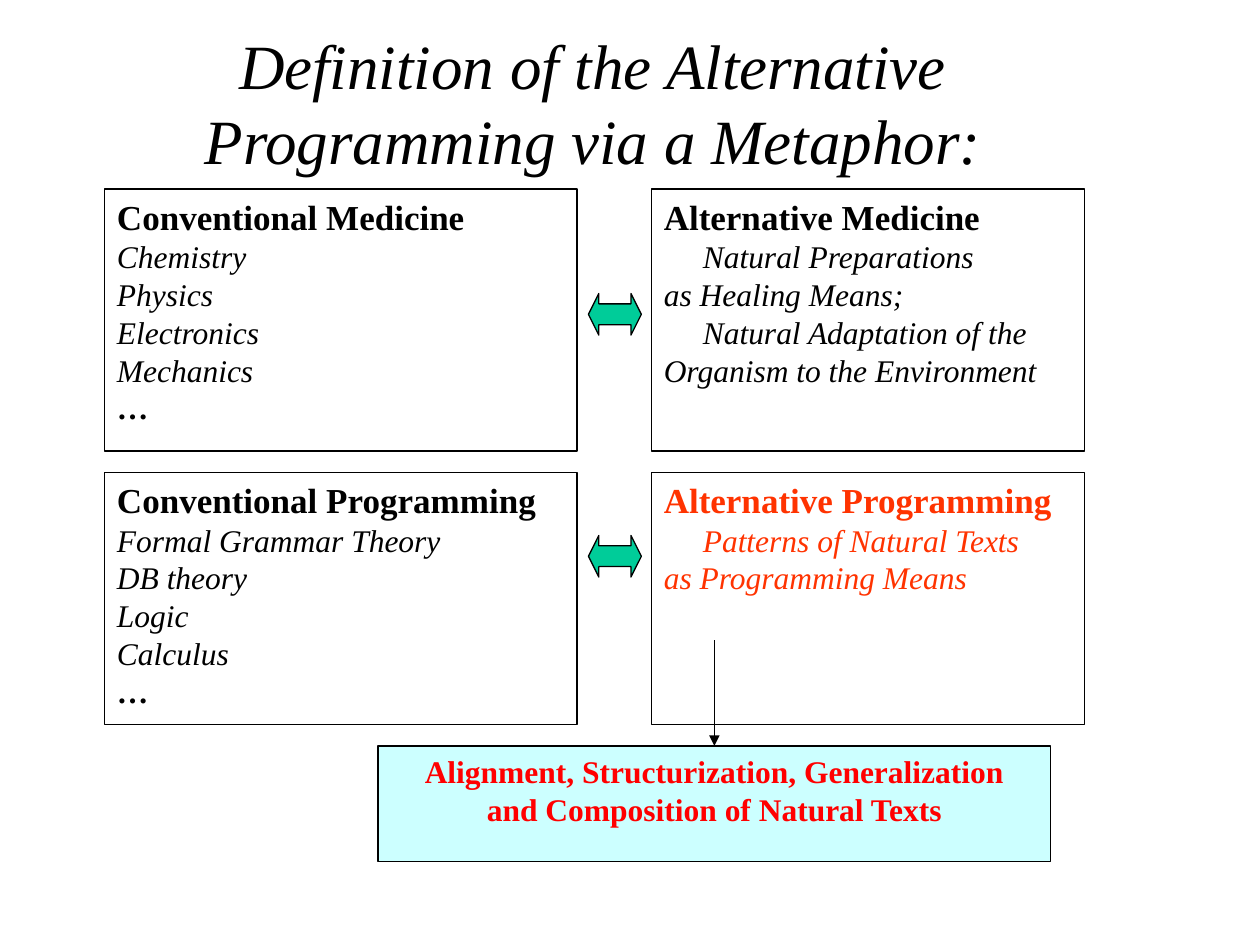
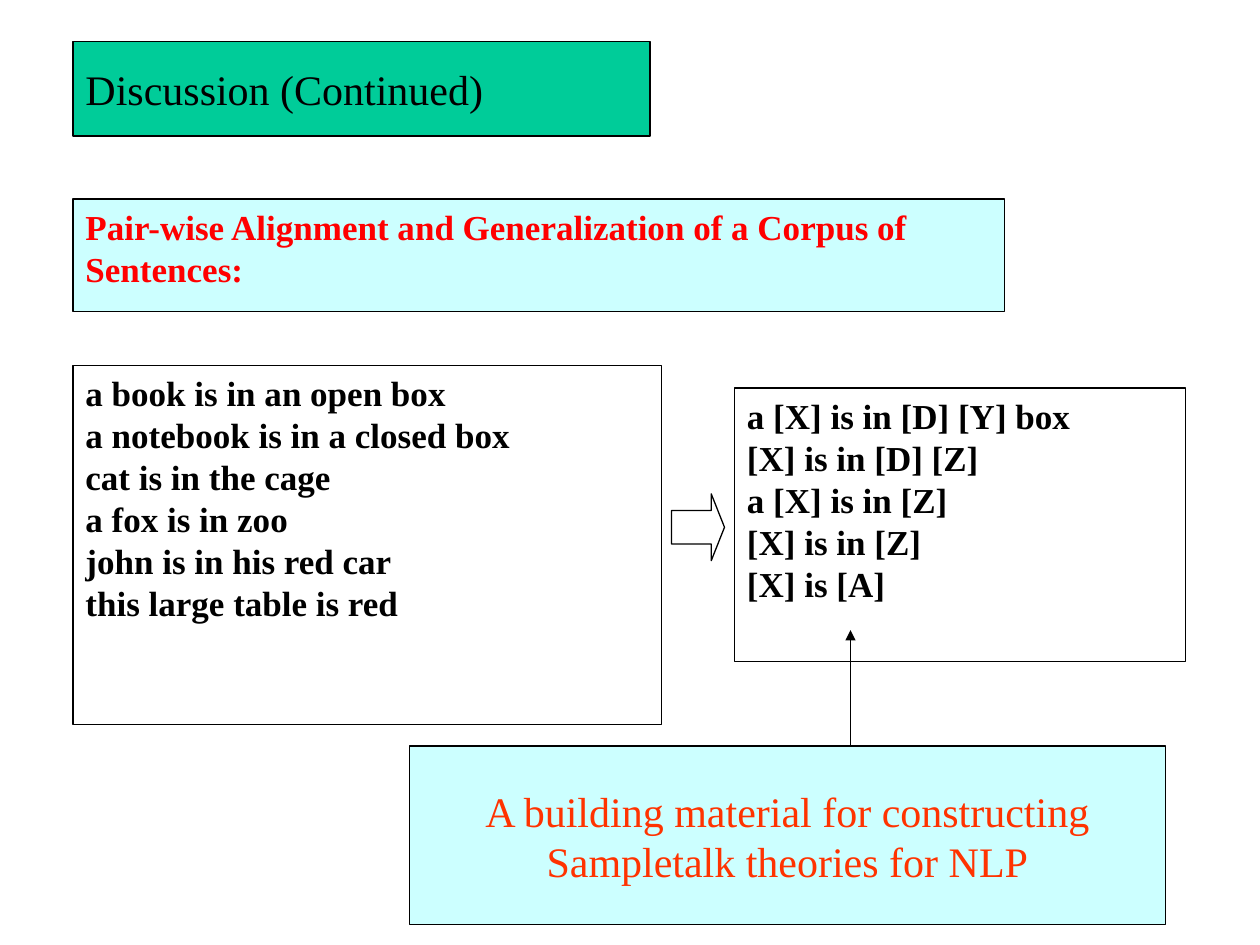
"""Build two slides on alternative programming and the alignment of sentences."""
from lxml.etree import SubElement
from pptx import Presentation
from pptx.dml.color import RGBColor
from pptx.enum.shapes import MSO_CONNECTOR as CONN, MSO_SHAPE as SHAPE
from pptx.enum.text import MSO_ANCHOR as ANCHOR, PP_ALIGN as ALIGN
from pptx.oxml.ns import qn
from pptx.util import Inches, Pt

COLORS = {
    "ink": "000000", "paper": "FFFFFF", "green": "00CC99",
    "pale": "CCFFFF", "red": "FF0000", "orange": "FF3300",
}
FORMATS = {
    "title": {"size": Pt(36), "italic": True},
    "banner": {"size": Pt(24)},
    "head": {"size": Pt(20), "bold": True},
    "item": {"size": Pt(18), "italic": True},
    "strong": {"size": Pt(18), "bold": True},
}
FONT = "Times New Roman"
LINE_WIDTH = Pt(0.75)
INDENT = Inches(0.31)


def rgb(name):
    return RGBColor.from_string(COLORS[name])


class Deck:
    def __init__(self):
        self.prs = Presentation()
        self.prs.slide_width, self.prs.slide_height = Inches(10), Inches(7.5)
        self.s = None

    def slide(self):
        self.s = self.prs.slides.add_slide(self.prs.slide_layouts[6])

    def text(self, sp, lines, color="ink", align=ALIGN.LEFT, anchor=ANCHOR.TOP):
        tf = sp.text_frame
        tf.word_wrap = True
        tf.vertical_anchor = anchor
        for i, (text, style, *indent) in enumerate(lines):
            p = tf.add_paragraph() if i else tf.paragraphs[0]
            p.alignment = align
            if indent:
                p._p.get_or_add_pPr().set("indent", str(indent[0]))
            r = p.add_run()
            r.text = text
            for key, value in {"name": FONT, **FORMATS[style]}.items():
                setattr(r.font, key, value)
            r.font.color.rgb = rgb(color)

    def title(self, at, text):
        sp = self.s.shapes.add_textbox(*map(Inches, at))
        sp.text_frame.margin_bottom = Inches(0.6)
        self.text(sp, [(text, "title")], align=ALIGN.CENTER, anchor=ANCHOR.MIDDLE)

    def shape(self, kind, at, fill):
        sp = self.s.shapes.add_shape(kind, *map(Inches, at))
        sp.shadow.inherit = False
        sp.fill.solid()
        sp.fill.fore_color.rgb = rgb(fill)
        sp.line.color.rgb = rgb("ink")
        sp.line.width = LINE_WIDTH
        return sp

    def box(self, at, lines, fill="paper", **text_format):
        sp = self.shape(SHAPE.RECTANGLE, at, fill)
        self.text(sp, lines, **text_format)
        return sp

    def block_arrow(self, kind, at, fill, head):
        sp = self.shape(kind, at, fill)
        sp.adjustments[0], sp.adjustments[1] = 0.5, head

    def arrow(self, start, end, target=None):
        cx = self.s.shapes.add_connector(CONN.STRAIGHT, *map(Inches, start + end))
        if target is not None:
            cx.end_connect(target, 0)
        cx.line.color.rgb = rgb("ink")
        cx.line.width = LINE_WIDTH
        SubElement(cx.line._get_or_add_ln(), qn("a:tailEnd"), type="triangle")
        SubElement(cx._element.spPr, qn("a:effectLst"))


def topic(head, *items):
    return [(head, "head")] + [(item, "item") for item in items]


def metaphor_slide(deck):
    deck.slide()
    deck.title((0.58, 0.25, 8.25, 1.67),
               "Definition of the Alternative Programming via a Metaphor:")
    dots = [("…", "strong")]
    medicine = topic("Conventional Medicine",
                     "Chemistry", "Physics", "Electronics", "Mechanics") + dots
    programming = topic("Conventional Programming", "Formal Grammar Theory",
                        "DB theory", "Logic", "Calculus") + dots
    alt_medicine = [
        ("Alternative Medicine", "head"),
        ("Natural Preparations", "item", INDENT),
        ("as Healing Means;", "item"),
        ("Natural Adaptation of the Organism to the Environment", "item", INDENT),
    ]
    alt_programming = [
        ("Alternative Programming", "head"),
        ("Patterns of Natural Texts", "item", INDENT),
        ("as Programming Means", "item"),
    ]
    rows = [
        (1.5, 2.08, 2.33, medicine, alt_medicine, "ink"),
        (3.75, 2, 4.25, programming, alt_programming, "orange"),
    ]
    for top, height, arrow_top, conventional, alternative, color in rows:
        deck.box((0.83, top, 3.75, height), conventional)
        deck.box((5.17, top, 3.44, height), alternative, color=color)
        deck.block_arrow(SHAPE.LEFT_RIGHT_ARROW, (4.67, arrow_top, 0.42, 0.33),
                         "green", 0.25)
    methods = deck.box(
        (3, 5.92, 5.34, 0.92),
        [("Alignment, Structurization, Generalization", "strong"),
         ("and Composition of Natural Texts", "strong")],
        "pale", color="red", align=ALIGN.CENTER)
    deck.arrow((5.67, 5.08), (5.67, 5.92), methods)


def discussion_slide(deck):
    deck.slide()
    sentences = ["a book is in an open box", "a notebook is in a closed box",
                 "cat is in the cage", "a fox is in zoo",
                 "john is in his red car", "this large table is red"]
    patterns = ["a [X] is in [D] [Y] box", "[X] is in [D] [Z]",
                "a [X] is in [Z]", "[X] is in [Z]", "[X] is [A]"]
    for at, lines in [((0.58, 2.9, 4.67, 2.85), sentences),
                      ((5.83, 3.08, 3.58, 2.17), patterns)]:
        deck.box(at, [(line, "head") for line in lines])
    deck.box((0.58, 1.58, 7.39, 0.89),
             topic("Pair-wise Alignment and Generalization of a Corpus of Sentences:"),
             "pale", color="red")
    deck.block_arrow(SHAPE.RIGHT_ARROW, (5.33, 3.92, 0.42, 0.53), "paper", 0.25)
    deck.box((0.58, 0.33, 4.58, 0.75), [("Discussion (Continued)", "banner")],
             "green", anchor=ANCHOR.MIDDLE)
    deck.box((3.25, 5.92, 6, 1.42),
             [("A building material for constructing", "banner"),
              ("Sampletalk theories for NLP", "banner")],
             "pale", color="orange", align=ALIGN.CENTER, anchor=ANCHOR.MIDDLE)
    deck.arrow((6.75, 5.92), (6.75, 5))


def main():
    deck = Deck()
    metaphor_slide(deck)
    discussion_slide(deck)
    deck.prs.save("out.pptx")


if __name__ == "__main__":
    main()
